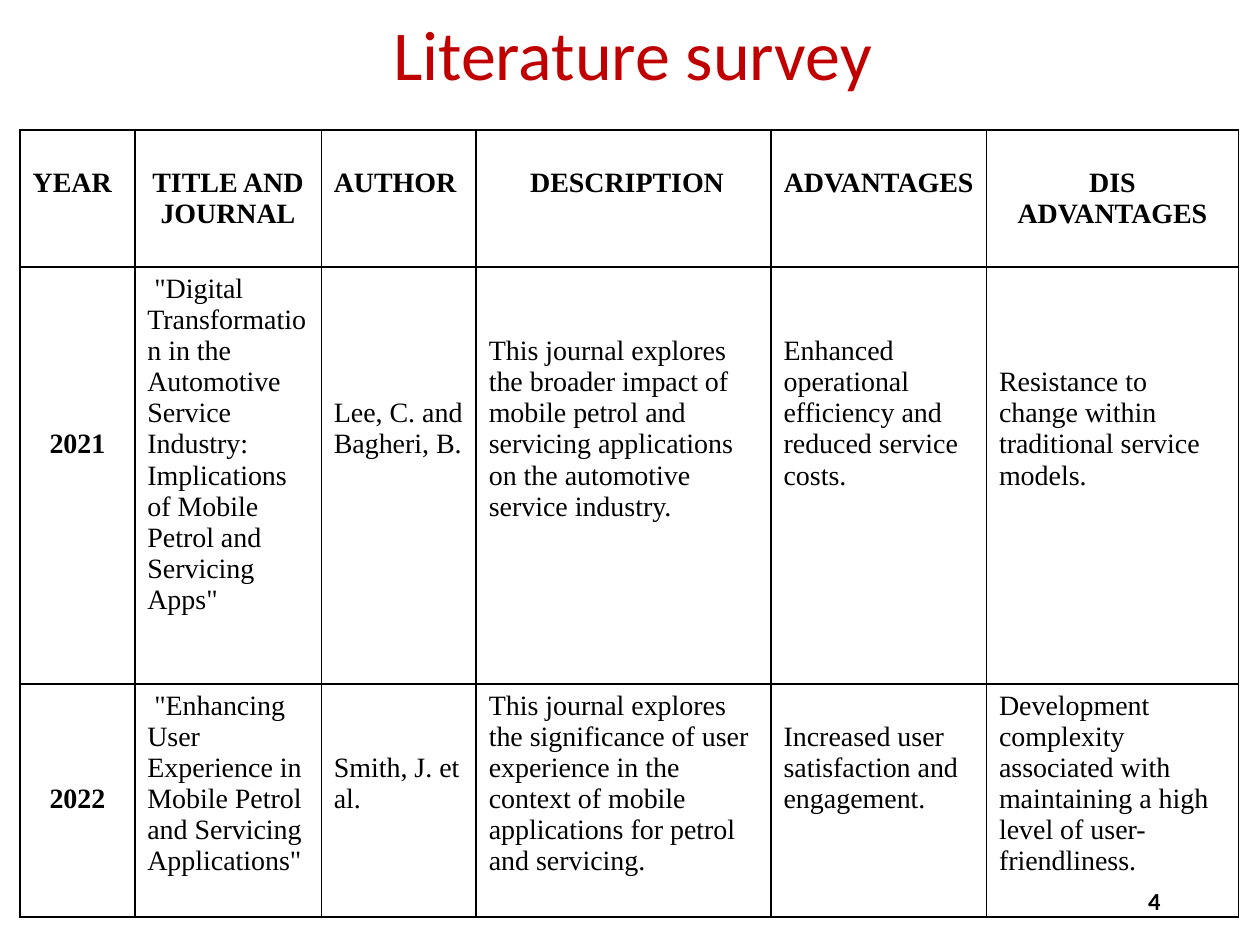
from lxml.etree import SubElement
from pptx import Presentation
from pptx.dml.color import RGBColor
from pptx.enum.text import MSO_ANCHOR as Anchor, PP_ALIGN as Align
from pptx.oxml.ns import qn
from pptx.util import Inches, Pt

COLORS = {"title": "C00000", "text": "000000", "border": "000000", "cell": "FFFFFF"}
BODY_FONT = "Times New Roman"
TITLE_FONT = "Calibri"
CELL_MARGIN = 0.05
LINE_HEIGHT = 0.247
COLUMN_WIDTHS = [0.91, 1.48, 1.23, 2.34, 1.71, 2]
ROW_HEIGHTS = [1.09, 3.31, 1.85]

HEADINGS = ["YEAR", "TITLE AND JOURNAL", "AUTHOR", " DESCRIPTION", "ADVANTAGES", "DIS ADVANTAGES"]
PAPERS = [
    [
        "2021",
        ' "Digital Transformation in the Automotive Service Industry: '
        'Implications of Mobile Petrol and Servicing Apps"',
        "Lee, C. and Bagheri, B.",
        "This journal explores the broader impact of mobile petrol and servicing "
        "applications on the automotive service industry.",
        "Enhanced operational efficiency and reduced service costs.",
        "Resistance to change within traditional service models.",
    ],
    [
        "2022",
        ' "Enhancing User Experience in Mobile Petrol and Servicing Applications"',
        "Smith, J. et al.",
        "This journal explores the significance of user experience in the context "
        "of mobile applications for petrol and servicing.",
        "Increased user satisfaction and engagement.",
        "Development complexity associated with maintaining a high level of user-friendliness.",
    ],
]
LINES_ABOVE = [
    [1, 1, 1, 1, 1, 1],
    [5, 0, 4, 2, 2, 3],
    [3, 0, 2, 0, 1, 0],
]


def write_text(frame, text, font, size, color, bold=False, align=Align.LEFT):
    frame.text = text
    frame.word_wrap = True
    para = frame.paragraphs[0]
    para.alignment = align
    span = para.runs[0]
    span.font.name = font
    span.font.size = Pt(size)
    span.font.bold = bold
    span.font.color.rgb = RGBColor.from_string(COLORS[color])
    return para


def add_label(page, bounds, text, size, color, bold, align):
    box = page.shapes.add_textbox(*map(Inches, bounds))
    box.text_frame.vertical_anchor = Anchor.MIDDLE
    return write_text(box.text_frame, text, TITLE_FONT, size, color, bold, align)


def add_borders(cell):
    properties = cell._tc.get_or_add_tcPr()
    for side in ("lnL", "lnR", "lnT", "lnB"):
        line = SubElement(properties, qn(f"a:{side}"), w=str(Pt(1)))
        fill = SubElement(line, qn("a:solidFill"))
        SubElement(fill, qn("a:srgbClr"), val=COLORS["border"])


def fill_cell(cell, text, lines_above, bold, align):
    write_text(cell.text_frame, text, BODY_FONT, 16, "text", bold, align)
    cell.margin_top = Inches(CELL_MARGIN + lines_above * LINE_HEIGHT)
    add_borders(cell)
    cell.fill.solid()
    cell.fill.fore_color.rgb = RGBColor.from_string(COLORS["cell"])


def add_survey_table(page):
    rows = [HEADINGS, *PAPERS]
    frame = page.shapes.add_table(
        len(rows), len(HEADINGS), Inches(0.16), Inches(1.03),
        Inches(sum(COLUMN_WIDTHS)), Inches(sum(ROW_HEIGHTS)),
    )
    table = frame.table
    table.first_row = False
    table.horz_banding = False
    for column, width in zip(table.columns, COLUMN_WIDTHS):
        column.width = Inches(width)
    for row, height in zip(table.rows, ROW_HEIGHTS):
        row.height = Inches(height)
    for r, texts in enumerate(rows):
        for c, text in enumerate(texts):
            is_heading = r == 0
            is_year = c == 0
            centered = is_year != is_heading and text != "AUTHOR"
            align = Align.CENTER if centered else Align.LEFT
            fill_cell(table.cell(r, c), text, LINES_ABOVE[r][c], is_heading or is_year, align)


def main():
    deck = Presentation()
    deck.slide_width = Inches(10)
    deck.slide_height = Inches(7.5)
    page = deck.slides.add_slide(deck.slide_layouts[6])
    title = add_label(page, (0.72, 0.15, 8.6, 0.61), "Literature survey", 40, "title", False, Align.CENTER)
    title.line_spacing = 0.9
    add_survey_table(page)
    add_label(page, (7.06, 6.95, 2.25, 0.4), "4", 14, "text", True, Align.RIGHT)
    deck.save("out.pptx")


if __name__ == "__main__":
    main()
